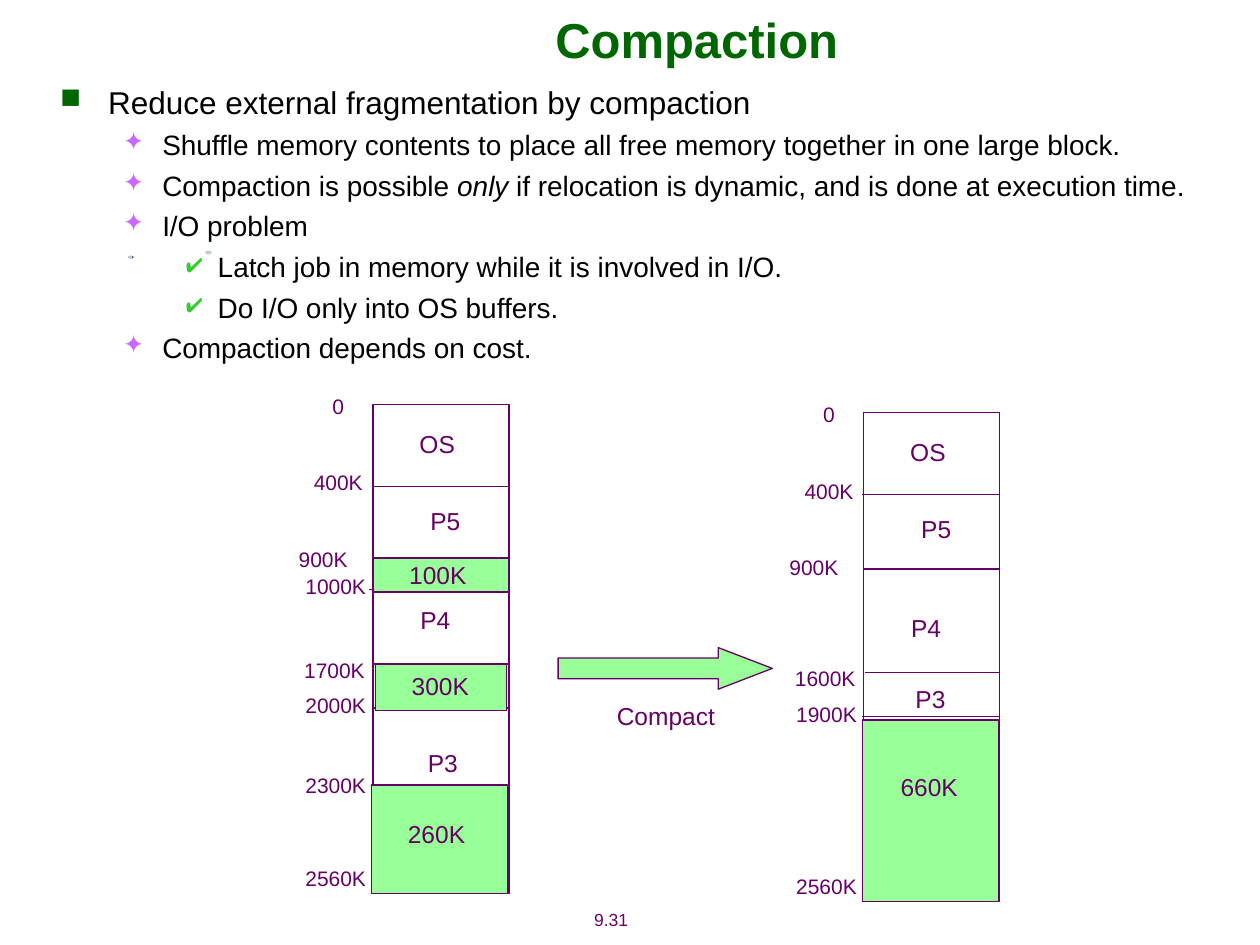
from lxml import etree
from pptx import Presentation
from pptx import util as u
from pptx.dml.color import RGBColor
from pptx.enum import shapes, text
from pptx.oxml import ns

PURPLE, GREEN, DARK_GREEN, WHITE, BLACK = "660066", "99FF99", "006600", "FFFFFF", "000000"


def colour(value):
    """Turn a hex string into a colour."""
    return RGBColor.from_string(value)


class Page:
    """Hold the style and the slide, measured on a grid of 100 columns by 75 rows."""

    font = "Arial"
    line_width = 0.75

    def __init__(self, deck):
        """Add a blank slide to the deck."""
        self.slide = deck.slides.add_slide(deck.slide_layouts[6])
        self.column = deck.slide_width / 100
        self.row = deck.slide_height / 75

    def place(self, left, top, width, height):
        """Convert grid lengths to slide lengths."""
        return (round(left * self.column), round(top * self.row),
                round(width * self.column), round(height * self.row))

    def block(self, left, top, width, height, fill=GREEN, kind="RECTANGLE"):
        """Draw an outlined preset shape."""
        preset = getattr(shapes.MSO_SHAPE, kind)
        shape = self.slide.shapes.add_shape(preset, *self.place(left, top, width, height))
        shape.shadow.inherit = False
        shape.fill.solid()
        shape.fill.fore_color.rgb = colour(fill)
        shape.line.color.rgb = colour(PURPLE)
        shape.line.width = u.Pt(self.line_width)
        return shape

    def rule(self, left, top, width):
        """Draw a horizontal line."""
        x, y, span, _ = self.place(left, top, width, 0)
        line = self.slide.shapes.add_connector(shapes.MSO_CONNECTOR.STRAIGHT, x, y, x + span, y)
        line.line.color.rgb = colour(PURPLE)
        line.line.width = u.Pt(self.line_width)
        etree.SubElement(line._element.spPr, ns.qn("a:effectLst"))

    def speck(self, left, top, width, height, fill):
        """Draw a tiny eight-sided spot."""
        corners = [(0.3, 0), (0.7, 0), (1, 0.3), (1, 0.7), (0.7, 1), (0.3, 1), (0, 0.7), (0, 0.3)]
        points = [self.place(left + x * width, top + y * height, 0, 0)[:2] for x, y in corners]
        builder = self.slide.shapes.build_freeform(*points[0])
        builder.add_line_segments(points[1:], close=True)
        shape = builder.convert_to_shape()
        shape.shadow.inherit = False
        shape.fill.solid()
        shape.fill.fore_color.rgb = colour(fill)
        shape.line.fill.background()

    def style(self, para, size, ink, bold=False):
        """Set the font of a paragraph."""
        font = para.font
        font.name, font.size, font.bold = self.font, u.Pt(size), bold
        font.color.rgb = colour(ink)

    def label(self, words, centre, middle, size=14, ink=PURPLE, bold=False, width=10.1, height=3.4):
        """Write one line of text centred on a grid point."""
        box = self.slide.shapes.add_textbox(
            *self.place(centre - width / 2, middle - height / 2, width, height))
        box.text_frame.word_wrap = True
        box.text_frame.vertical_anchor = text.MSO_ANCHOR.MIDDLE
        para = box.text_frame.paragraphs[0]
        para.text, para.alignment = words, text.PP_ALIGN.CENTER
        self.style(para, size, ink, bold)

    def bullet(self, para, mark, ink, margin, indent):
        """Give a paragraph a coloured bullet and a hanging indent."""
        props = para._p.get_or_add_pPr()
        props.set("marL", str(u.Inches(margin)))
        props.set("indent", str(-u.Inches(indent)))
        tint = etree.SubElement(props, ns.qn("a:buClr"))
        etree.SubElement(tint, ns.qn("a:srgbClr"), val=ink)
        etree.SubElement(props, ns.qn("a:buSzPct"), val="90000")
        etree.SubElement(props, ns.qn("a:buChar"), char=mark)

    def outline(self, left, top, width, height, items):
        """Write a bulleted list of levels and text spans, every second span in italics."""
        levels = [("■", DARK_GREEN, 0.38, 0.38, 18),
                  ("✦", "CC66FF", 0.81, 0.31, 16),
                  ("✔", "33CC33", 1.25, 0.25, 16)]
        frame = self.slide.shapes.add_textbox(*self.place(left, top, width, height)).text_frame
        frame.word_wrap = True
        for number, (level, *spans) in enumerate(items):
            para = frame.add_paragraph() if number else frame.paragraphs[0]
            *look, size = levels[level]
            para.level = level
            para.space_before = u.Pt(size * 0.25)
            self.bullet(para, *look)
            for order, words in enumerate(spans):
                span = para.add_run()
                span.text = words
                if order % 2:
                    span.font.italic = True
            self.style(para, size, BLACK)

    def memory(self, left, top, marks, blocks, rules, names):
        """Draw a memory map with its addresses, free blocks and process names."""
        self.block(left, top, 10.8, 38.8, WHITE)
        for x, y, width in rules:
            self.rule(left + x, top + y, width)
        for x, y, width, height in blocks:
            self.block(left + x, top + y, width, height)
        for words, x, y in marks:
            self.label(words, left + x, top + y, 12, width=7.7, height=3)
        for words, x, y in names:
            self.label(words, left + x, top + y)


def main():
    """Build the compaction slide."""
    deck = Presentation()
    deck.slide_width, deck.slide_height = u.Inches(10), u.Inches(7.5)
    page = Page(deck)

    page.speck(10.2, 20.3, 0.4, 0.2, "284C70")
    page.speck(10.2, 20.3, 0.3, 0.2, "BFCCD8")
    page.speck(16.3, 19.9, 0.5, 0.3, "BFCCD8")
    page.label("9.31", 48.5, 72.95, 10, width=9.4, height=2.7)
    page.label("Compaction", 55.3, 3.05, 28, DARK_GREEN, True, width=85, height=6.1)
    page.outline(3.8, 6.1, 92, 23.7, [
        (0, "Reduce external fragmentation by compaction"),
        (1, "Shuffle memory contents to place all free memory together in one large block."),
        (1, "Compaction is possible ", "only",
         " if relocation is dynamic, and is done at execution time."),
        (1, "I/O problem"),
        (2, "Latch job in memory while it is involved in I/O."),
        (2, "Do I/O only into OS buffers."),
        (1, "Compaction depends on cost."),
    ])

    marks = [("0", -2.75, 0.1), ("400K", -2.75, 6.2), ("900K", -3.95, 12.3), ("2560K", -2.95, 37.6)]
    rules = [(-0.1, 6.5, 10.9), (0, 12.4, 10.8), (0.1, 20.6, 10.6), (-0.1, 24.1, 10.9)]
    names = [("OS", 5.1, 3.1), ("P5", 5.75, 9.2), ("P4", 4.95, 17.1)]

    page.memory(
        29.6, 32.1,
        marks + [("1000K", -2.95, 14.4), ("1700K", -3.05, 21.1),
                 ("2000K", -2.95, 23.9), ("2300K", -2.95, 30.2)],
        [(0, 12.2, 10.8, 2.7), (0.2, 20.6, 10.4, 3.7), (-0.1, 30.2, 10.8, 8.6)],
        rules + [(-0.3, 14.7, 10.9)],
        names + [("100K", 5.15, 13.5), ("300K", 5.35, 22.3),
                 ("P3", 5.55, 28.4), ("260K", 5.05, 34.1)])
    page.memory(
        68.55, 32.75,
        marks + [("1600K", -3.05, 21.1), ("1900K", -2.95, 23.9)],
        [(-0.1, 24.4, 10.8, 14.4)],
        rules,
        names + [("P3", 5.3, 22.7), ("660K", 5.2, 29.7)])

    arrow = page.block(44.3, 51.4, 17, 3.3, kind="RIGHT_ARROW")
    arrow.adjustments[1] = 1.3
    page.label("Compact", 52.85, 56.8)
    deck.save("out.pptx")


if __name__ == "__main__":
    main()
